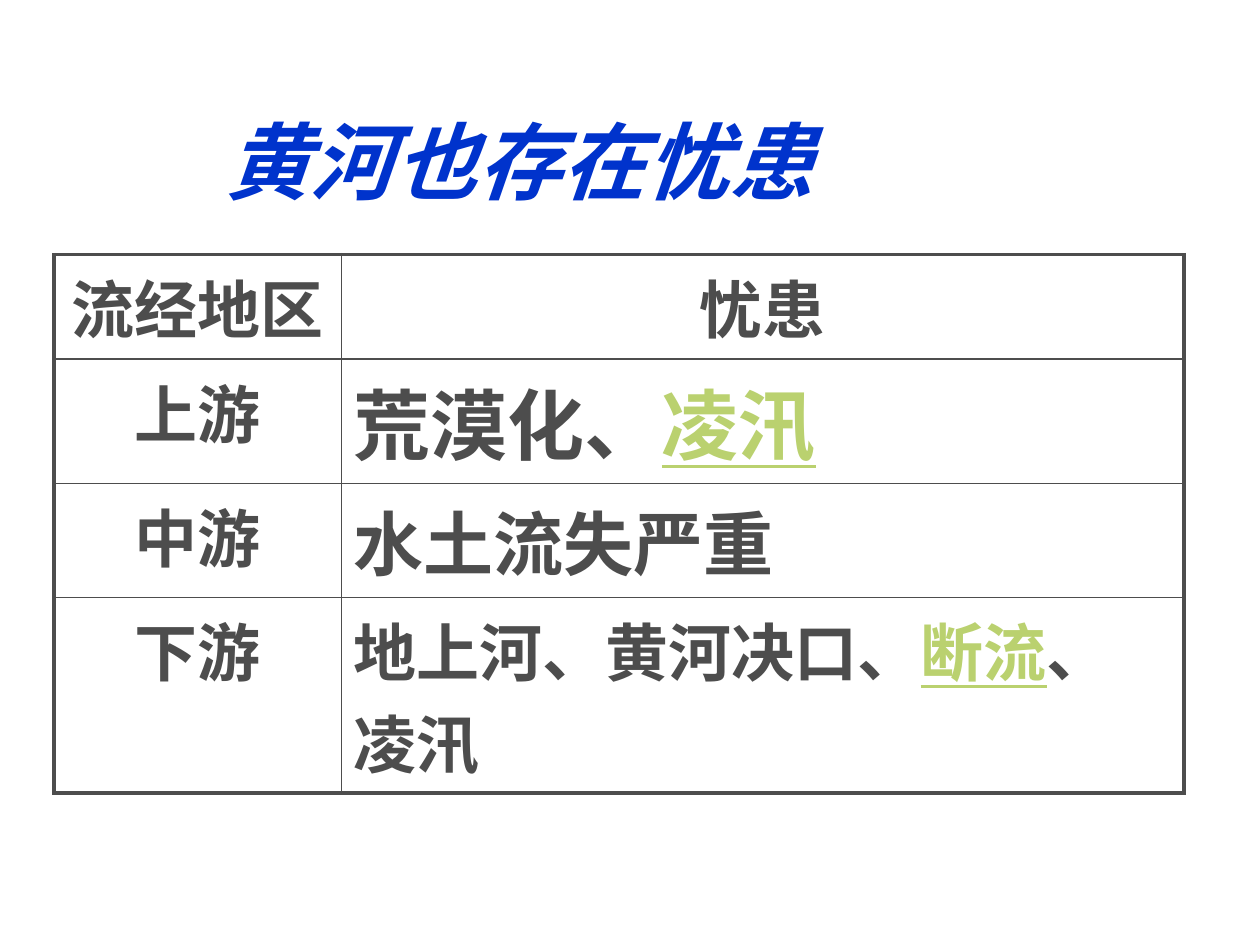
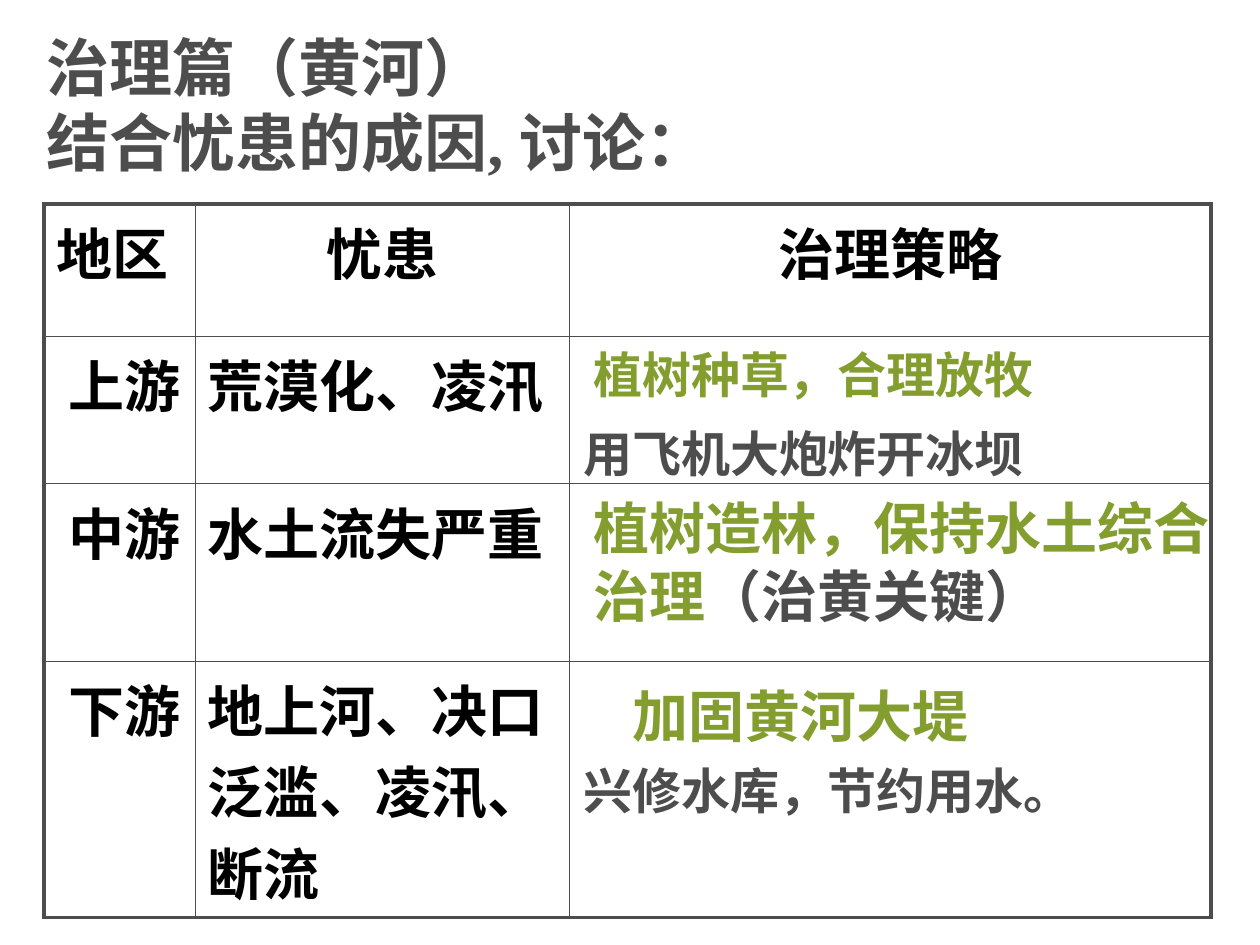
"""Build two slides on the troubles of the Yellow River and their remedies."""
from lxml.etree import SubElement
from pptx import Presentation
from pptx.dml.color import RGBColor
from pptx.enum.text import PP_ALIGN
from pptx.oxml import parse_xml
from pptx.oxml.ns import nsdecls, qn
from pptx.util import Cm, Pt

GREY = RGBColor(0x4D, 0x4D, 0x4D)
BLACK = RGBColor(0, 0, 0)
BLUE = RGBColor(0x00, 0x33, 0xCC)
GREEN = RGBColor(0x83, 0x9E, 0x2F)
LINK = RGBColor(0xBA, 0xD1, 0x6F)
ASIAN_FONT = "Noto Sans CJK SC"
SERIF = "Times New Roman"
CENTER = PP_ALIGN.CENTER
OUTER_LINE, INNER_LINE = 2.25, 1
LINE_PITCH, TOP_SHIFT = 1.2, 0.09

TROUBLES = {
    "place": (1.09, 5.13),
    "columns": (5.79, 16.99),
    "rows": (2.11, 2.5, 2.3, 3.94),
    "style": {"size": 36, "color": GREY},
    "cells": [
        [("流经地区", {"align": CENTER}), ("忧患", {"align": CENTER})],
        [("上游", {"align": CENTER}), (["荒漠化、", ("凌汛", LINK, True)], {"size": 44})],
        [("中游", {"align": CENTER}), ("水土流失严重", {"size": 40})],
        [("下游", {"align": CENTER}),
         (["地上河、黄河决口、", ("断流", LINK, True), "、凌汛"], {})],
    ],
}
REMEDIES = {
    "place": (0.89, 4.11),
    "columns": (3.05, 7.54, 12.93),
    "rows": (2.67, 2.97, 3.58, 5.16),
    "style": {"size": 32, "color": BLACK},
    "cells": [
        [("地区", {}), ("忧患", {"align": CENTER}), ("治理策略", {"align": CENTER})],
        [("上游", {"indent": 0.25}), ("荒漠化、凌汛", {})],
        [("中游", {"indent": 0.25}), ("水土流失严重", {})],
        [("下游", {"indent": 0.25}), ("地上河、决口泛滥、凌汛、断流", {})],
    ],
}
TITLE = [
    ((4.29, 1.93, 15.01, 3.99), ["黄河也存在忧患"],
     {"size": 48, "color": BLUE, "font": SERIF, "italic": True}),
]
STRATEGIES = [
    ((0.69, 0.33, 24.71, 3.3), ["治理篇（黄河）", "结合忧患的成因, 讨论："],
     {"size": 36, "color": GREY, "font": SERIF}),
    ((11.71, 6.73, 11.2, 1.45), ["植树种草，合理放牧"],
     {"size": 28, "color": GREEN, "font": ASIAN_FONT}),
    ((11.71, 9.73, 13.69, 2.97), [["植树造林，保持水土综合治理", ("（治黄关键）", GREY, False)]],
     {"size": 32, "color": GREEN}),
    ((11.51, 15.11, 12.8, 1.45), ["兴修水库，节约用水。"], {"size": 28, "color": GREY}),
    ((11.51, 8.33, 10.21, 1.45), ["用飞机大炮炸开冰坝"], {"size": 28, "color": GREY}),
    ((12.5, 13.51, 7.5, 1.6), ["加固黄河大堤"], {"size": 32, "color": GREEN}),
]


def write(para, text, size, color, font="Arial", italic=False, align=PP_ALIGN.LEFT):
    """Fill a paragraph with bold text; parts may carry their own colour and underline."""
    para.alignment = align
    for part in [text] if isinstance(text, str) else text:
        words, tint, underline = (part, color, False) if isinstance(part, str) else part
        span = para.add_run()
        span.text = words
        span.font.size = Pt(size)
        span.font.bold = True
        span.font.italic = italic
        span.font.underline = underline
        span.font.color.rgb = tint
        span.font.name = font
        SubElement(span.font._element, qn("a:ea"), typeface=ASIAN_FONT)


def add_text(page, place, lines, style):
    """Add a text box with one paragraph per line."""
    frame = page.shapes.add_textbox(*map(Cm, place)).text_frame
    frame.word_wrap = True
    frame.margin_top = Pt(3.6 + TOP_SHIFT * style["size"])
    for number, line in enumerate(lines):
        para = frame.add_paragraph() if number else frame.paragraphs[0]
        para.line_spacing = Pt(LINE_PITCH * style["size"])
        write(para, line, **style)


def set_borders(cell, outer_sides):
    """Draw thick lines on the outer sides of a cell and thin ones elsewhere."""
    properties = cell._tc.get_or_add_tcPr()
    for index, side in enumerate("LRTB"):
        width = Pt(OUTER_LINE if side in outer_sides else INNER_LINE)
        properties.insert(index, parse_xml(
            f'<a:ln{side} {nsdecls("a")} w="{width}"><a:solidFill>'
            f'<a:srgbClr val="{GREY}"/></a:solidFill></a:ln{side}>'))


def add_grid(page, grid):
    """Add a ruled table without fill."""
    columns, rows = grid["columns"], grid["rows"]
    size = Cm(sum(columns)), Cm(sum(rows))
    table = page.shapes.add_table(
        len(rows), len(columns), *map(Cm, grid["place"]), *size).table
    table.first_row = table.horz_banding = False
    for column, width in zip(table.columns, columns):
        column.width = Cm(width)
    for row, height in zip(table.rows, rows):
        row.height = Cm(height)
    for r in range(len(rows)):
        for c in range(len(columns)):
            cell = table.cell(r, c)
            cell.fill.background()
            edges = {"L": c == 0, "R": c == len(columns) - 1,
                     "T": r == 0, "B": r == len(rows) - 1}
            set_borders(cell, [side for side, outer in edges.items() if outer])
            if c < len(grid["cells"][r]):
                text, changes = grid["cells"][r][c]
                style = {**grid["style"], **changes}
                indent = style.pop("indent", 0)
                cell.margin_left = Cm(0.25 + indent)
                cell.margin_right = Cm(0.25 - indent)
                write(cell.text_frame.paragraphs[0], text, **style)


def main():
    """Build and save the deck."""
    deck = Presentation()
    deck.slide_width, deck.slide_height = Cm(25.4), Cm(19.05)
    for grid, texts in ((TROUBLES, TITLE), (REMEDIES, STRATEGIES)):
        page = deck.slides.add_slide(deck.slide_layouts[6])
        add_grid(page, grid)
        for place, lines, style in texts:
            add_text(page, place, lines, style)
    deck.save("out.pptx")


if __name__ == "__main__":
    main()
